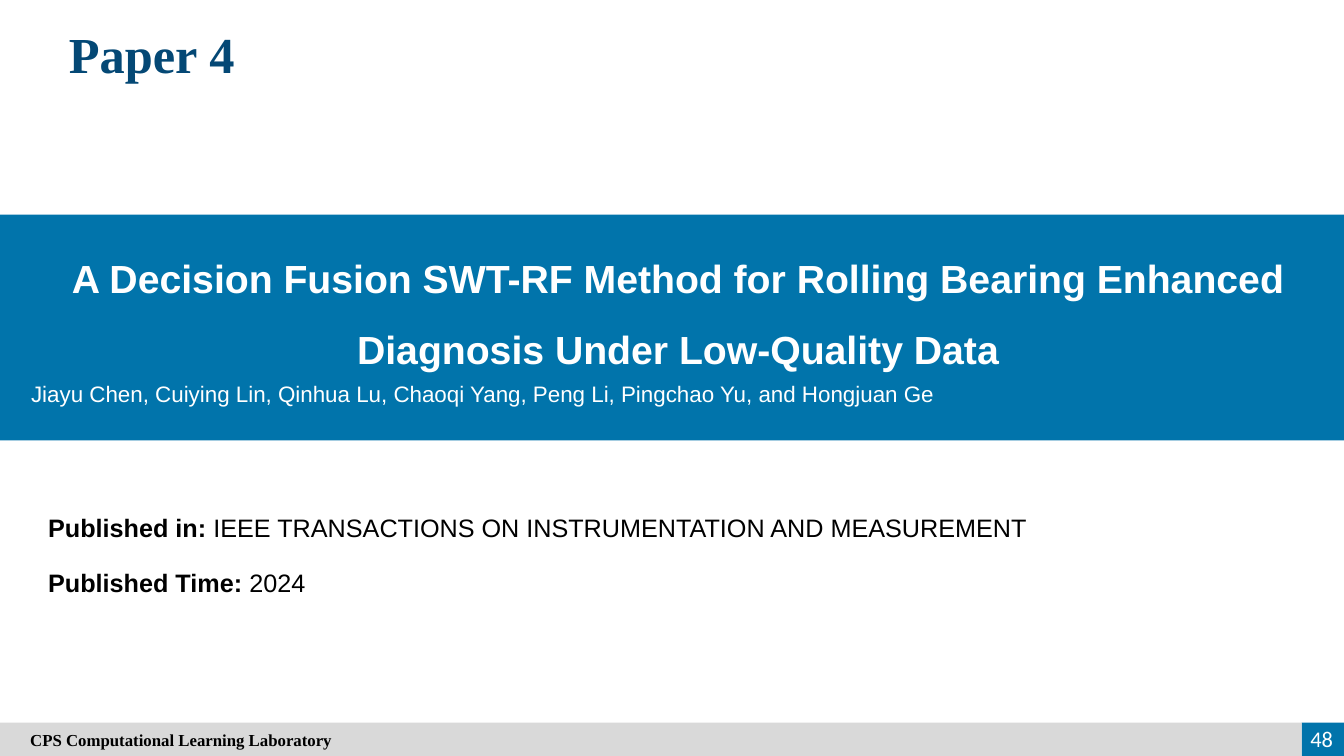
from pptx import Presentation
from pptx.dml.color import RGBColor
from pptx.enum import shapes, text
from pptx.util import Inches, Pt

# Content: each line is a list of (words, bold) runs
HEAD = [("Paper 4", True)]
TITLE = [("A Decision Fusion SWT-RF Method for Rolling Bearing Enhanced "
          "Diagnosis Under Low-Quality Data", True)]
NAMES = [("Jiayu Chen, Cuiying Lin, Qinhua Lu, Chaoqi Yang, Peng Li, "
          "Pingchao Yu, and Hongjuan Ge", False)]
FACTS = [
    [("Published in:", True),
     (" IEEE TRANSACTIONS ON INSTRUMENTATION AND MEASUREMENT", False)],
    [("Published Time:", True), (" 2024", False)],
]
LAB = [("CPS Computational Learning Laboratory", True)]
PAGE = [("48", False)]

# Theme: colours, and font with size for each kind of text
THEME = {
    "blue": "0174AB", "navy": "044875", "grey": "D9D9D9",
    "white": "FFFFFF", "black": "000000",
    "head": ("Times New Roman", 36), "title": ("Arial", 28),
    "names": ("Arial", 16), "fact": ("Arial", 18),
    "lab": ("Times New Roman", 12), "page": ("Calibri", 16),
}
ALIGN = {"l": text.PP_ALIGN.LEFT, "c": text.PP_ALIGN.CENTER,
         "r": text.PP_ALIGN.RIGHT}

# Layout in inches
WIDE, HIGH = 13.33, 7.5
EDGE = 0.38
FOOT = 0.33
TAB = 0.42
FACT_TOP, FACT_STEP = 5.03, 0.55

deck = Presentation()
deck.slide_width, deck.slide_height = Inches(WIDE), Inches(HIGH)
slide = deck.slides.add_slide(deck.slide_layouts[6])


def write(shape, runs, kind, ink, align="l", middle=False, space=1.0):
    frame = shape.text_frame
    frame.word_wrap = True
    frame.vertical_anchor = (text.MSO_ANCHOR.MIDDLE if middle
                             else text.MSO_ANCHOR.TOP)
    para = frame.paragraphs[0]
    para.alignment, para.line_spacing = ALIGN[align], space
    for words, bold in runs:
        run = para.add_run()
        run.text = words
        font = run.font
        font.name, size = THEME[kind]
        font.size, font.bold = Pt(size), bold
        font.color.rgb = RGBColor.from_string(THEME[ink])


def block(x, y, w, h, fill):
    shape = slide.shapes.add_shape(
        shapes.MSO_SHAPE.RECTANGLE, *map(Inches, (x, y, w, h)))
    shape.shadow.inherit = False
    shape.fill.solid()
    shape.fill.fore_color.rgb = RGBColor.from_string(THEME[fill])
    shape.line.fill.background()
    return shape


def label(x, y, w, h, *args, **opts):
    box = slide.shapes.add_textbox(*map(Inches, (x, y, w, h)))
    write(box, *args, **opts)


# Title band
block(0, 2.13, WIDE, 2.24, "blue")
label(0.31, 2.28, 12.83, 1.43, TITLE, "title", "white",
      align="c", middle=True, space=1.5)
label(0.21, 3.72, WIDE - 0.21, 0.37, NAMES, "names", "white")

# Heading
label(EDGE, 0.18, 2.25, 0.71, HEAD, "head", "navy", align="c")

# Footer
foot_top = HIGH - FOOT
block(WIDE - TAB, foot_top, TAB, FOOT, "blue")
bar = block(0, foot_top, WIDE - TAB, FOOT, "grey")
write(bar, LAB, "lab", "black", middle=True)
bar.text_frame.margin_left = Inches(0.3)
label(12.69, 7.13, 0.63, 0.4, PAGE, "page", "white", align="r", middle=True)

# Publication facts
for row, fact in enumerate(FACTS):
    label(EDGE, FACT_TOP + row * FACT_STEP, 10, 0.4, fact, "fact", "black")

deck.save("out.pptx")
